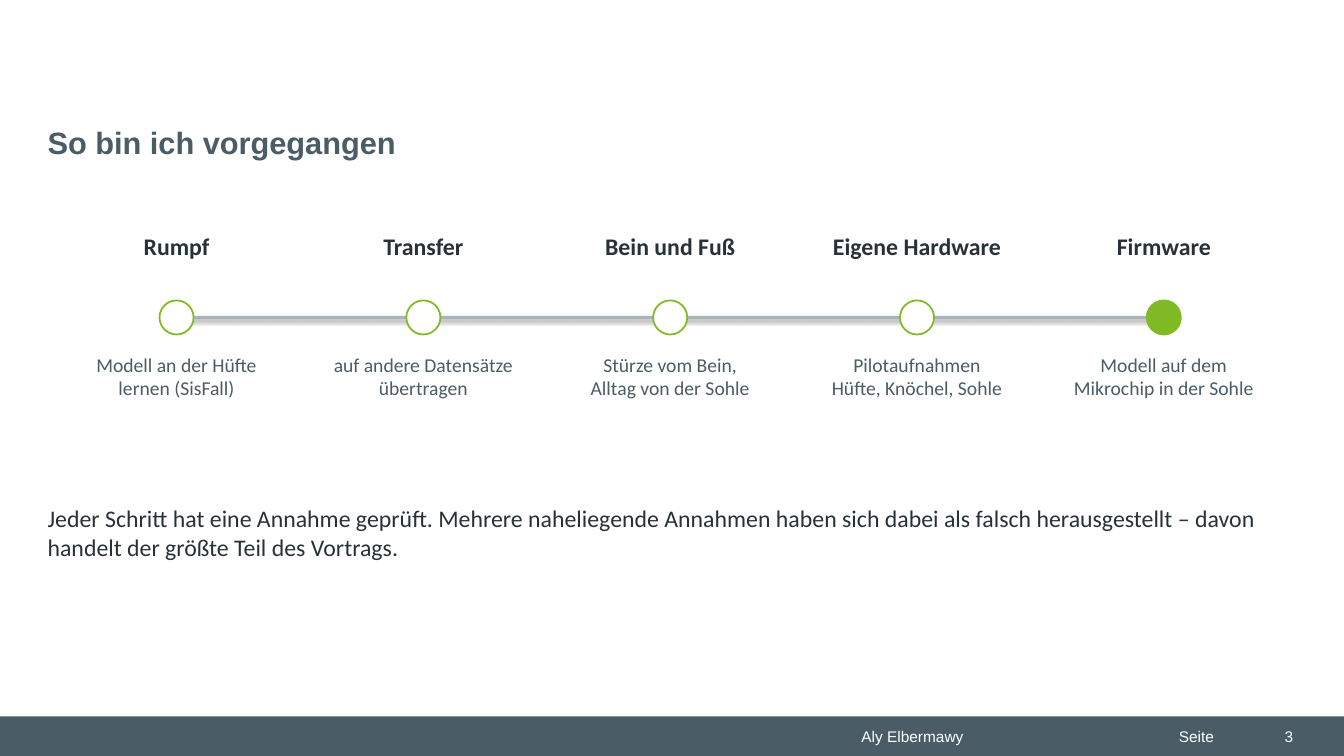
from lxml import etree
from pptx import Presentation
from pptx.dml.color import RGBColor
from pptx.enum.shapes import MSO_CONNECTOR, MSO_SHAPE
from pptx.enum.text import MSO_ANCHOR, PP_ALIGN
from pptx.oxml.ns import qn
from pptx.util import Cm, Pt

LEFT, CENTER, RIGHT = PP_ALIGN.LEFT, PP_ALIGN.CENTER, PP_ALIGN.RIGHT
TOP, MIDDLE = MSO_ANCHOR.TOP, MSO_ANCHOR.MIDDLE
RECTANGLE, OVAL = MSO_SHAPE.RECTANGLE, MSO_SHAPE.OVAL
STRAIGHT = MSO_CONNECTOR.STRAIGHT

WHITE = RGBColor(0xFF, 0xFF, 0xFF)
SLATE = RGBColor(0x4A, 0x5C, 0x66)
INK = RGBColor(0x26, 0x32, 0x38)
GREEN = RGBColor(0x80, 0xBA, 0x24)
GREY = RGBColor(0xA9, 0xB4, 0xBA)

SLIDE_WIDTH, SLIDE_HEIGHT = 33.87, 19.05

presentation = Presentation()
presentation.slide_width = Cm(SLIDE_WIDTH)
presentation.slide_height = Cm(SLIDE_HEIGHT)
slide = presentation.slides.add_slide(presentation.slide_layouts[6])


def add_text(lines, left, top, width, height, size, color, font="Calibri", bold=False,
             align=LEFT, anchor=TOP, inset_x=0, inset_y=0, space_after=0):
    frame = slide.shapes.add_textbox(Cm(left), Cm(top), Cm(width), Cm(height)).text_frame
    frame.word_wrap = True
    frame.vertical_anchor = anchor
    frame.margin_left = frame.margin_right = Cm(inset_x)
    frame.margin_top = frame.margin_bottom = Cm(inset_y)
    for index, line in enumerate(lines):
        paragraph = frame.paragraphs[0] if index == 0 else frame.add_paragraph()
        paragraph.text = line
        paragraph.alignment = align
        paragraph.space_after = Pt(space_after)
        paragraph.font.name = font
        paragraph.font.size = Pt(size)
        paragraph.font.bold = bold
        paragraph.font.color.rgb = color


def add_filled_shape(kind, left, top, width, height, fill, outline=None):
    shape = slide.shapes.add_shape(kind, Cm(left), Cm(top), Cm(width), Cm(height))
    shape.shadow.inherit = False
    shape.fill.solid()
    shape.fill.fore_color.rgb = fill
    if outline is None:
        shape.line.fill.background()
    else:
        shape.line.color.rgb = outline
        shape.line.width = Pt(1.25)


# Footer band
BAND_TOP = 18.05
add_filled_shape(RECTANGLE, 0, BAND_TOP, SLIDE_WIDTH, SLIDE_HEIGHT - BAND_TOP, SLATE)
footer_items = [
    ("Aly Elbermawy", 21.46, 8.0, LEFT, TOP),
    ("Seite", 29.46, 2.13, LEFT, TOP),
    ("3", 31.06, 1.78, RIGHT, MIDDLE),
]
for text, left, width, align, anchor in footer_items:
    add_text([text], left, 18.19, width, 0.74, 11, WHITE, "Arial",
             align=align, anchor=anchor, inset_x=0.25, inset_y=0.13)

# Title
add_text(["So bin ich vorgegangen"], 1.2, 3.0, 31.2, 1.6, 22, SLATE, "Arial",
         bold=True, inset_y=0.13)

# Timeline steps
steps = [
    ("Rumpf", ["Modell an der Hüfte", "lernen (SisFall)"]),
    ("Transfer", ["auf andere Datensätze", "übertragen"]),
    ("Bein und Fuß", ["Stürze vom Bein,", "Alltag von der Sohle"]),
    ("Eigene Hardware", ["Pilotaufnahmen", "Hüfte, Knöchel, Sohle"]),
    ("Firmware", ["Modell auf dem", "Mikrochip in der Sohle"]),
]
FIRST_CENTER, STEP = 4.45, 6.22
AXIS_Y, DOT, COLUMN_WIDTH = 8.0, 0.86, 6.1
last_center = FIRST_CENTER + STEP * (len(steps) - 1)

# Timeline axis with soft shadow
axis = slide.shapes.add_connector(STRAIGHT, Cm(FIRST_CENTER), Cm(AXIS_Y),
                                  Cm(last_center), Cm(AXIS_Y))
axis.line.color.rgb = GREY
axis.line.width = Pt(2.5)
effects = etree.SubElement(axis.element.spPr, qn("a:effectLst"))
shadow = etree.SubElement(effects, qn("a:outerShdw"), blurRad=str(Pt(3.1)),
                          dist=str(Pt(1.6)), dir="5400000", rotWithShape="0")
shadow_color = etree.SubElement(shadow, qn("a:srgbClr"), val="000000")
etree.SubElement(shadow_color, qn("a:alpha"), val="38000")

# Dots and labels, the last dot filled
for index, (heading, details) in enumerate(steps):
    center = FIRST_CENTER + STEP * index
    column_left = center - COLUMN_WIDTH / 2
    dot_fill = GREEN if index == len(steps) - 1 else WHITE
    add_filled_shape(OVAL, center - DOT / 2, AXIS_Y - DOT / 2, DOT, DOT, dot_fill, GREEN)
    add_text([heading], column_left, 5.84, COLUMN_WIDTH, 1.02, 17, INK,
             bold=True, align=CENTER, space_after=8)
    add_text(details, column_left, 8.89, COLUMN_WIDTH, 2.29, 14, SLATE, align=CENTER)

# Closing remark
add_text(["Jeder Schritt hat eine Annahme geprüft. Mehrere naheliegende Annahmen haben sich "
          "dabei als falsch herausgestellt – davon handelt der größte Teil des Vortrags."],
         1.2, 12.7, 31.24, 3.56, 17, INK, space_after=8)

presentation.save("out.pptx")
